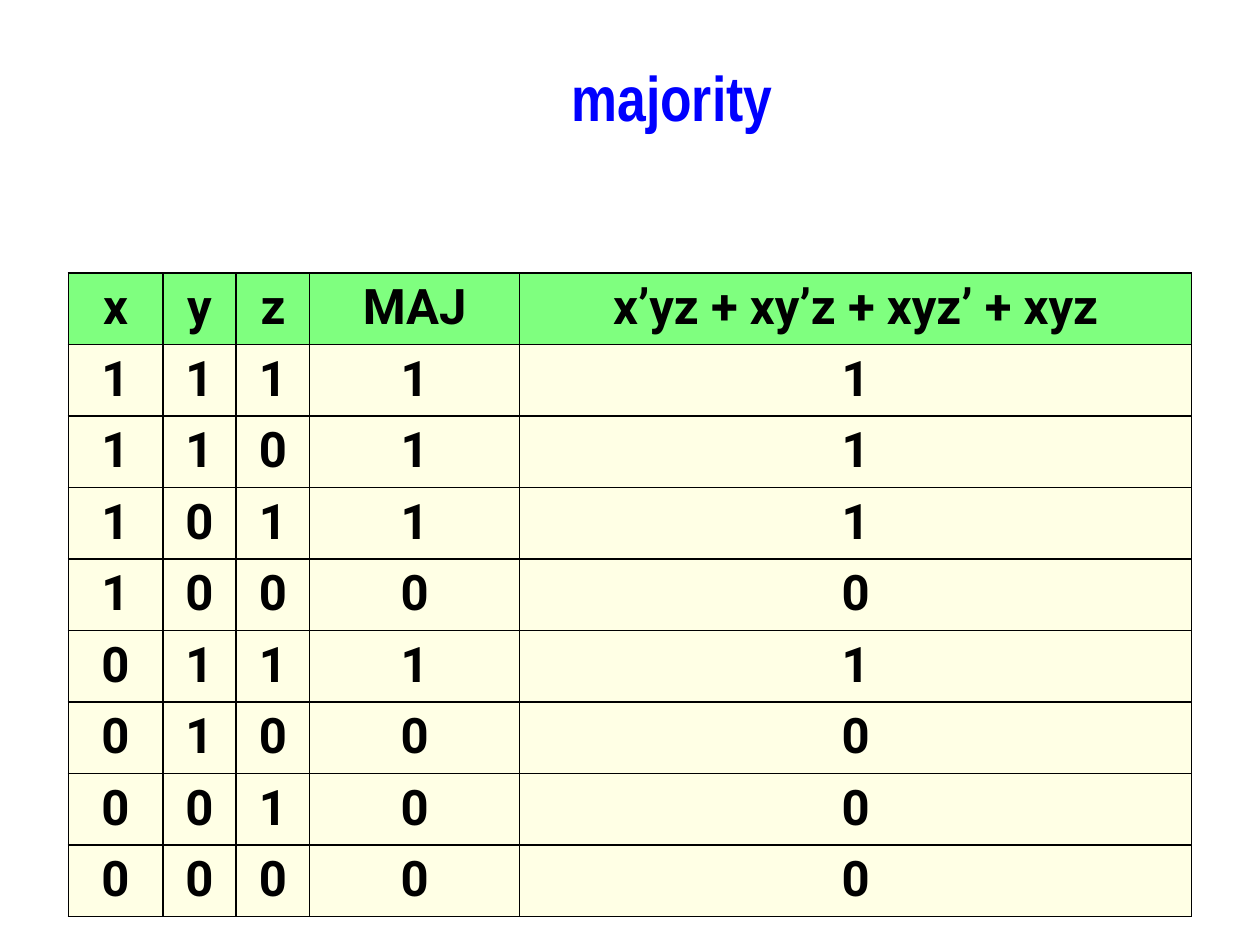
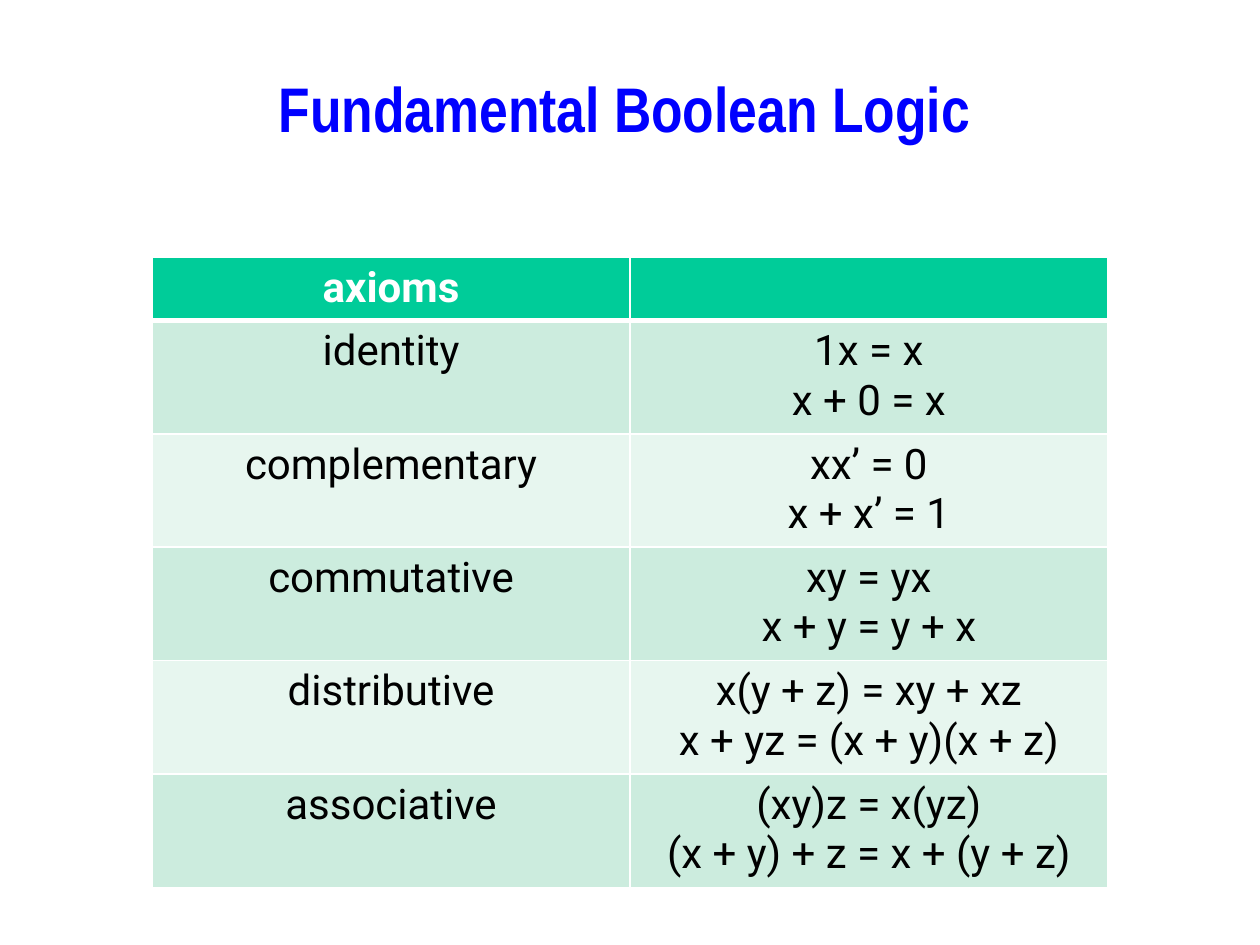
from dataclasses import dataclass
from itertools import product

from lxml.etree import SubElement
from pptx import Presentation
from pptx.dml.color import RGBColor
from pptx.enum.text import PP_ALIGN
from pptx.oxml.ns import qn
from pptx.presentation import Presentation as Deck
from pptx.slide import Slide
from pptx.table import _Cell as Cell
from pptx.text.text import TextFrame
from pptx.util import Emu, Inches, Pt

SLIDE_WIDTH, SLIDE_HEIGHT = Inches(10), Inches(7.5)
GRID_COLUMNS = 120  # square grid: 120 columns by 90 rows
UNIT = SLIDE_WIDTH // GRID_COLUMNS

BLUE = RGBColor(0x00, 0x00, 0xFF)
YELLOW = RGBColor(0xFF, 0xFF, 0x00)
BLACK = RGBColor(0x00, 0x00, 0x00)
WHITE = RGBColor(0xFF, 0xFF, 0xFF)
LIME = RGBColor(0x00, 0xFF, 0x00)
CREAM = RGBColor(0xFF, 0xFF, 0xCC)
GREEN = RGBColor(0x00, 0xCC, 0x99)
MINT = RGBColor(0xCC, 0xEC, 0xDE)
PALE_MINT = RGBColor(0xE7, 0xF6, 0xEF)


@dataclass(frozen=True)
class Area:
    """A rectangle in grid units."""
    left: float
    top: float
    width: float
    height: float

    def lengths(self) -> tuple[Emu, ...]:
        return tuple(map(grid, (self.left, self.top, self.width, self.height)))


@dataclass(frozen=True)
class TextStyle:
    font: str
    size: int
    color: RGBColor
    bold: bool = False


@dataclass(frozen=True)
class RowStyle:
    text: TextStyle
    fill: RGBColor
    opacity: int = 100
    bottom_border: float = 1


@dataclass(frozen=True)
class TableLook:
    header: RowStyle
    bands: tuple[RowStyle, ...]
    border: RGBColor


TITLE = TextStyle("Arial Narrow", 36, BLUE, bold=True)
TRUTH_TEXT = TextStyle("Roboto", 28, BLACK, bold=True)
AXIOM_TEXT = TextStyle("Roboto", 24, BLACK)
AXIOM_HEADER = TextStyle("Roboto", 24, WHITE, bold=True)

TRUTH_LOOK = TableLook(
    header=RowStyle(TRUTH_TEXT, LIME, opacity=50),
    bands=(RowStyle(TRUTH_TEXT, CREAM, opacity=50),),
    border=BLACK,
)
AXIOM_LOOK = TableLook(
    header=RowStyle(AXIOM_HEADER, GREEN, bottom_border=3),
    bands=(RowStyle(AXIOM_TEXT, MINT), RowStyle(AXIOM_TEXT, PALE_MINT)),
    border=WHITE,
)

AXIOMS = [
    ("identity", "1x = x\nx + 0 = x"),
    ("complementary", "xx’ = 0\nx + x’ = 1"),
    ("commutative", "xy = yx\nx + y = y + x"),
    ("distributive", "x(y + z) = xy + xz\nx + yz = (x + y)(x + z)"),
    ("associative", "(xy)z = x(yz)\n(x + y) + z = x + (y + z)"),
]


def grid(units: float) -> Emu:
    return Emu(round(units * UNIT))


def add_solid_fill(parent, color: RGBColor) -> None:
    fill = SubElement(parent, qn("a:solidFill"))
    SubElement(fill, qn("a:srgbClr"), val=str(color))


def write_text(frame: TextFrame, text: str, style: TextStyle) -> None:
    """Write each line as a centred paragraph."""
    for index, line in enumerate(text.split("\n")):
        para = frame.add_paragraph() if index else frame.paragraphs[0]
        para.alignment = PP_ALIGN.CENTER
        if not line:
            para.font.size = Pt(style.size)
            continue
        span = para.add_run()
        span.text = line
        span.font.name = style.font
        span.font.size = Pt(style.size)
        span.font.bold = style.bold
        span.font.color.rgb = style.color


def add_title(page: Slide, text: str, area: Area) -> None:
    box = page.shapes.add_textbox(*area.lengths())
    box.text_frame.word_wrap = False
    write_text(box.text_frame, text, TITLE)
    properties = box.text_frame.paragraphs[0].runs[0].font._element
    outline = SubElement(properties, qn("a:ln"), w=str(Pt(0.75)))
    add_solid_fill(outline, YELLOW)
    properties.insert(0, outline)


def style_cell(cell: Cell, style: RowStyle, border: RGBColor, top_border: float) -> None:
    cell.fill.solid()
    cell.fill.fore_color.rgb = style.fill
    properties = cell._tc.get_or_add_tcPr()
    if style.opacity < 100:
        color = properties.find(".//" + qn("a:srgbClr"))
        SubElement(color, qn("a:alpha"), val=str(style.opacity * 1000))
    widths = {"L": 1, "R": 1, "T": top_border, "B": style.bottom_border}
    for index, (side, width) in enumerate(widths.items()):
        line = SubElement(properties, qn(f"a:ln{side}"), w=str(Pt(width)))
        add_solid_fill(line, border)
        properties.insert(index, line)


def add_table(page: Slide, area: Area, columns: list[float], heights: list[float],
              rows: list[tuple[str, ...]], look: TableLook) -> None:
    table = page.shapes.add_table(len(rows), len(columns), *area.lengths()).table
    table.first_row = table.horz_banding = False
    for column, width in zip(table.columns, columns):
        column.width = grid(width)
    top_border = 1
    for index, (row, height, texts) in enumerate(zip(table.rows, heights, rows)):
        row.height = grid(height)
        style = look.bands[(index - 1) % len(look.bands)] if index else look.header
        for cell, text in zip(row.cells, texts):
            write_text(cell.text_frame, text, style.text)
            style_cell(cell, style, look.border, top_border)
        top_border = style.bottom_border


def truth_rows() -> list[tuple[str, ...]]:
    rows = [("x", "y", "z", "MAJ", "x’yz + xy’z + xyz’ + xyz")]
    for inputs in product((1, 0), repeat=3):
        majority = int(sum(inputs) >= 2)
        rows.append(tuple(map(str, (*inputs, majority, majority))))
    return rows


def add_blank_page(deck: Deck) -> Slide:
    return deck.slides.add_slide(deck.slide_layouts[6])


def add_majority_page(deck: Deck) -> None:
    page = add_blank_page(deck)
    add_title(page, "majority", Area(23, 5, 82, 19))
    rows = truth_rows()
    area = Area(6.5, 26, 107, 61.2)
    heights = [area.height / len(rows)] * len(rows)
    add_table(page, area, [9, 7, 7, 20, 64], heights, rows, TRUTH_LOOK)


def add_axioms_page(deck: Deck) -> None:
    page = add_blank_page(deck)
    add_title(page, "Fundamental Boolean Logic", Area(14, 6, 91, 14))
    heights = [5.9] + [10.8] * len(AXIOMS)
    area = Area(14.5, 24.5, 91, sum(heights))
    add_table(page, area, [area.width / 2] * 2, heights,
              [("axioms", ""), *AXIOMS], AXIOM_LOOK)


def main() -> None:
    deck = Presentation()
    deck.slide_width, deck.slide_height = SLIDE_WIDTH, SLIDE_HEIGHT
    add_majority_page(deck)
    add_axioms_page(deck)
    deck.save("out.pptx")


if __name__ == "__main__":
    main()
